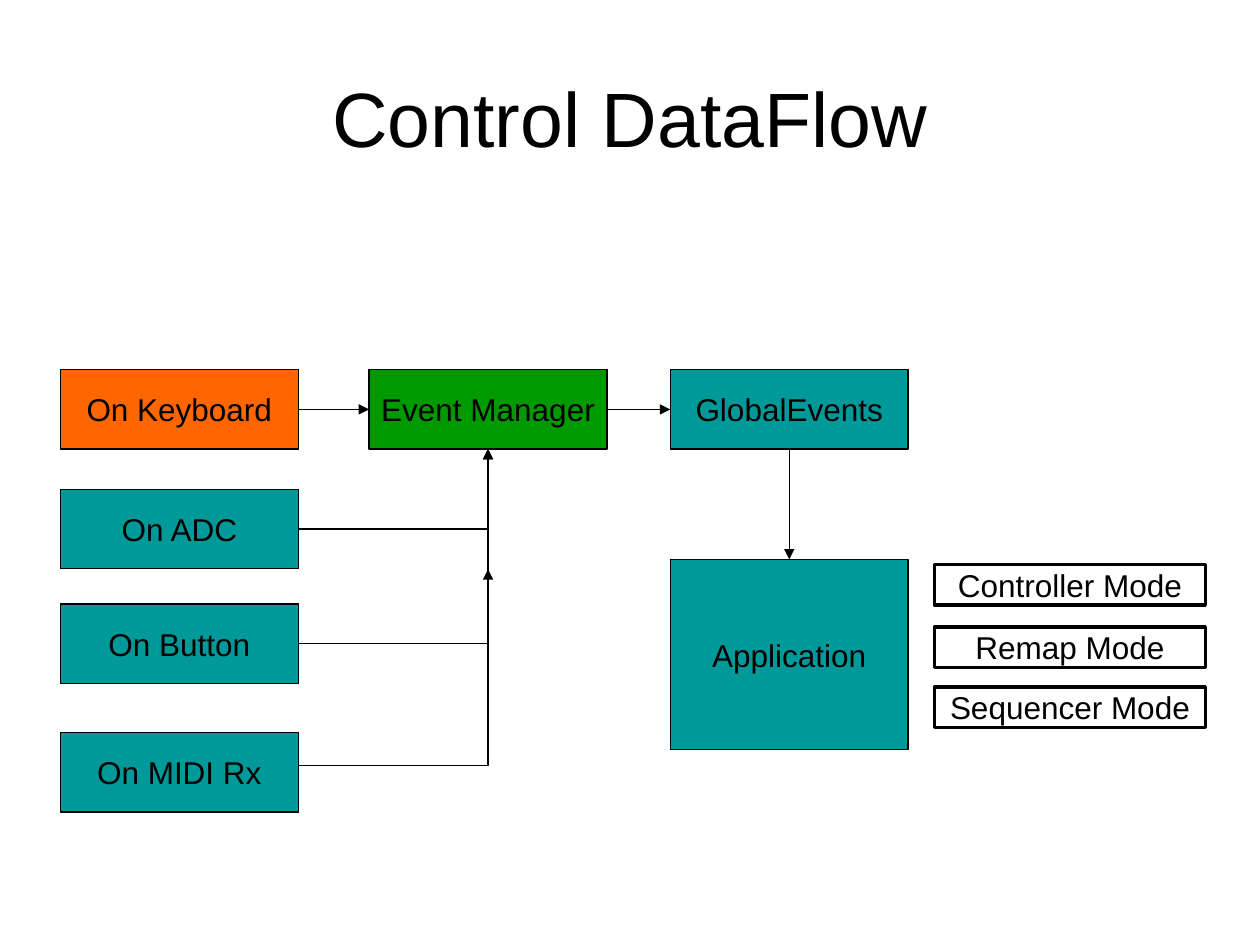
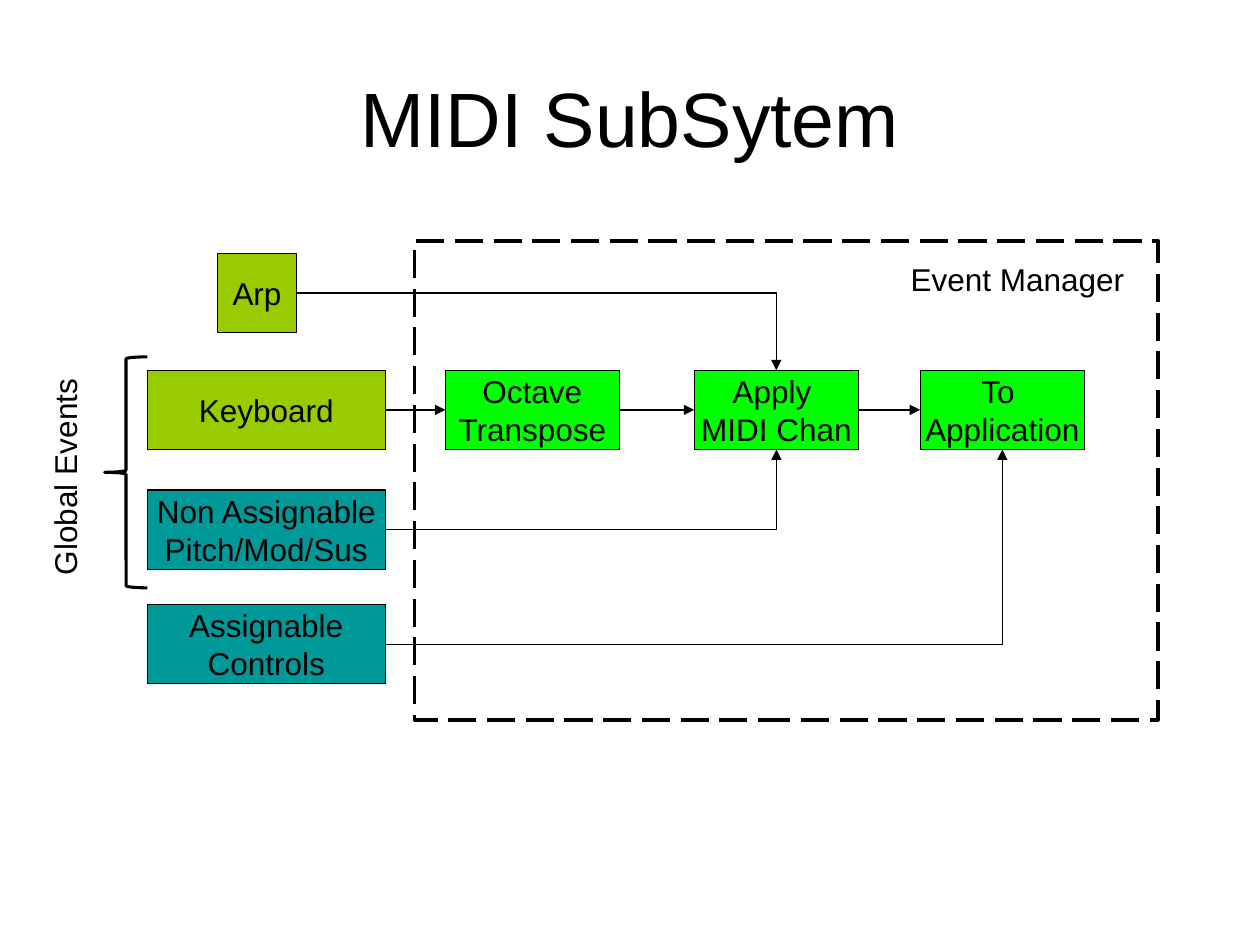
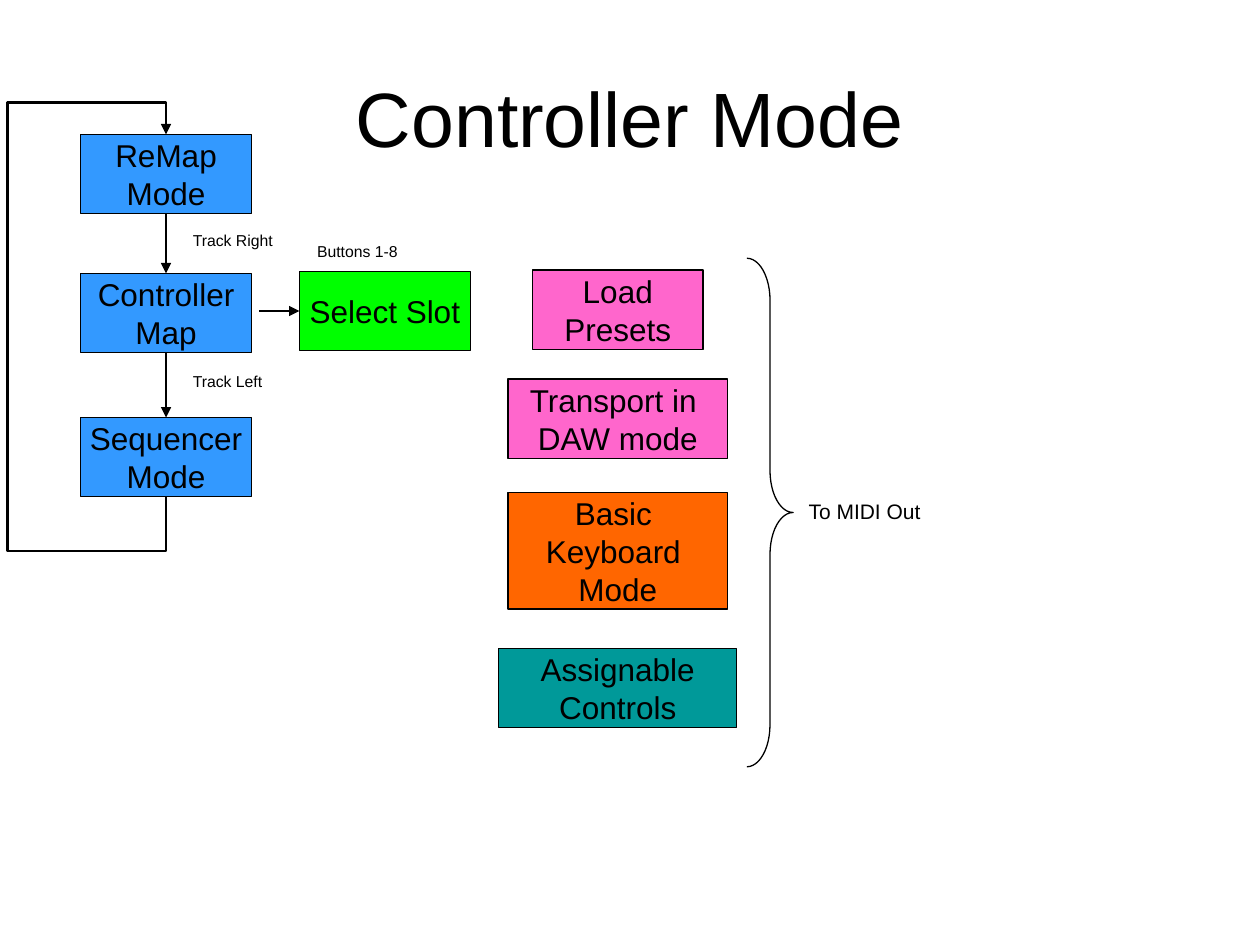
from lxml.etree import SubElement
from pptx import Presentation
from pptx.dml.color import RGBColor
from pptx.enum.dml import MSO_LINE
from pptx.enum.shapes import MSO_CONNECTOR, MSO_SHAPE
from pptx.enum.text import MSO_ANCHOR, PP_ALIGN
from pptx.oxml.ns import qn
from pptx.util import Pt

FONT = "Arial"
BLACK = "000000"
WHITE = "FFFFFF"
TEAL = "009999"
ORANGE = "FF6600"
GREEN = "009900"
LIME = "00FF00"
OLIVE = "99CC00"
BLUE = "3399FF"
PINK = "FF66CC"

TITLE_ONLY = 5
THIN = 0.75
BOX_WIDTH, BOX_HEIGHT = 136, 45.3
ROW_TOPS = (0, 68.4, 133.9, 207.4)

# Side name: connection site, share of the width, share of the height
SIDES = {
    "top": (0, 0.5, 0),
    "left": (1, 0, 0.5),
    "bottom": (2, 0.5, 1),
    "right": (3, 1, 0.5),
}


def color(hex_code):
    return RGBColor.from_string(hex_code)


def format_text(text_frame, size, align):
    for para in text_frame.paragraphs:
        para.alignment = align
        for span in para.runs:
            span.font.name = FONT
            span.font.size = Pt(size)
            span.font.color.rgb = color(BLACK)


def add_page(deck, title):
    page = deck.slides.add_slide(deck.slide_layouts[TITLE_ONLY])
    heading = page.shapes.title
    heading.left, heading.top = Pt(36), Pt(21.6)
    heading.width, heading.height = Pt(648), Pt(90)
    heading.text_frame.text = title
    heading.text_frame.vertical_anchor = MSO_ANCHOR.MIDDLE
    format_text(heading.text_frame, 44, PP_ALIGN.CENTER)
    return page


def outline(shape, width):
    shape.shadow.inherit = False
    shape.line.color.rgb = color(BLACK)
    shape.line.width = Pt(width)


def add_outline(page, preset, left, top, width, height, line_width):
    """Add an unfilled preset shape."""
    shape = page.shapes.add_shape(preset, Pt(left), Pt(top), Pt(width), Pt(height))
    shape.fill.background()
    outline(shape, line_width)
    return shape


def add_box(page, text, fill, left, top, width=BOX_WIDTH, height=BOX_HEIGHT,
            line_width=THIN):
    box = add_outline(page, MSO_SHAPE.RECTANGLE, left, top, width, height, line_width)
    box.fill.solid()
    box.fill.fore_color.rgb = color(fill)
    box.text_frame.text = text
    box.text_frame.word_wrap = False
    box.text_frame.vertical_anchor = MSO_ANCHOR.MIDDLE
    format_text(box.text_frame, 18, PP_ALIGN.CENTER)
    return box


def add_label(page, text, left, top, width, height, size=18):
    label = page.shapes.add_textbox(Pt(left), Pt(top), Pt(width), Pt(height))
    label.text_frame.word_wrap = True
    label.text_frame.text = text
    label.text_frame.paragraphs[0].space_before = Pt(size * 0.625)
    format_text(label.text_frame, size, PP_ALIGN.LEFT)
    return label


def add_brace(page, preset, left, top, width, height, curve, line_width):
    brace = add_outline(page, preset, left, top, width, height, line_width)
    brace.adjustments[0] = curve


def add_arrowhead(shape):
    line = shape.element.spPr.find(qn("a:ln"))
    SubElement(line, qn("a:tailEnd"), type="triangle")


def side_point(box, side):
    _, across, down = SIDES[side]
    return (box.left.pt + across * box.width.pt, box.top.pt + down * box.height.pt)


def add_arrow(page, start, end):
    """Draw a straight arrow, or one that runs across and then turns once."""
    turns = all(abs(a - b) > 1 for a, b in zip(start, end))
    kind = MSO_CONNECTOR.ELBOW if turns else MSO_CONNECTOR.STRAIGHT
    arrow = page.shapes.add_connector(kind, *(Pt(value) for value in start + end))
    arrow.line.color.rgb = color(BLACK)
    arrow.line.width = Pt(THIN)
    add_arrowhead(arrow)
    properties = arrow.element.spPr
    if turns:
        properties.find(qn("a:prstGeom")).set("prst", "bentConnector2")
    SubElement(properties, qn("a:effectLst"))
    return arrow


def link(page, source, source_side, target, target_side):
    """Draw an arrow that stays attached to both boxes."""
    arrow = add_arrow(page, side_point(source, source_side),
                      side_point(target, target_side))
    arrow.begin_connect(source, SIDES[source_side][0])
    arrow.end_connect(target, SIDES[target_side][0])


def add_rows(page, rows, left, top):
    """Stack full-width boxes on the shared row positions."""
    return [add_box(page, text, fill, left, top + offset)
            for (text, fill), offset in zip(rows, ROW_TOPS)]


def event_sources(page, left, top, manager):
    rows = (("On Keyboard", ORANGE), ("On ADC", TEAL),
            ("On Button", TEAL), ("On MIDI Rx", TEAL))
    keyboard, adc, button, midi = add_rows(page, rows, left, top)
    link(page, keyboard, "right", manager, "left")
    for source in (adc, button):
        link(page, source, "right", manager, "bottom")
    add_arrow(page, (left + BOX_WIDTH, midi.top.pt + 18.7),
              (side_point(manager, "bottom")[0], top + 114))


def application_modes(page, left, top):
    modes = ("Controller Mode", "Remap Mode", "Sequencer Mode")
    for mode, offset in zip(modes, (0, 35.8, 70)):
        add_box(page, mode, WHITE, left, top + offset, 154.8, 23.2, 2)


def control_dataflow(deck):
    page = add_page(deck, "Control DataFlow")
    top = 211.3
    manager = add_box(page, "Event Manager", GREEN, 210.9, top)
    events = add_box(page, "GlobalEvents", TEAL, 383, top)
    application = add_box(page, "Application", TEAL, 383, 319.7, height=108.7)
    event_sources(page, 34.5, top, manager)
    link(page, manager, "right", events, "left")
    link(page, events, "bottom", application, "top")
    application_modes(page, 534, 322.5)


def midi_sources(page, left, top):
    rows = (("Keyboard", OLIVE), ("Non Assignable\vPitch/Mod/Sus", TEAL),
            ("Assignable\vControls", TEAL))
    arp = add_box(page, "Arp", OLIVE, left + 40.3, top - 66.8, 44.8)
    add_brace(page, MSO_SHAPE.LEFT_BRACE, left - 24.4, top - 7.7, 24.4, 132, 0.05, 1.75)
    label = add_label(page, "Global Events", left - 113.5, top + 43.4, 132.5, 28.8)
    label.rotation = 270
    return [arp] + add_rows(page, rows, left, top)


def event_manager(page, left, top, step_top):
    frame = add_outline(page, MSO_SHAPE.RECTANGLE, left, top, 424.8, 273.8, 2)
    frame.line.dash_style = MSO_LINE.LONG_DASH
    add_label(page, "Event Manager", left + 276.4, top + 7.2, 170, 28.8)
    steps = (("Octave\vTranspose", 17.6, 99.4), ("Apply \vMIDI Chan", 159.8, 93.9),
             ("To \nApplication", 288.9, 93.9))
    boxes = [add_box(page, text, LIME, left + offset, step_top, width)
             for text, offset, width in steps]
    for source, target in zip(boxes, boxes[1:]):
        link(page, source, "right", target, "left")
    return boxes


def midi_subsystem(deck):
    page = add_page(deck, "MIDI SubSytem")
    top = 211.6
    octave, channel, output = event_manager(page, 236.9, 137.6, top)
    arp, keyboard, fixed, assignable = midi_sources(page, 84.2, top)
    link(page, arp, "right", channel, "top")
    link(page, keyboard, "right", octave, "left")
    link(page, fixed, "right", channel, "bottom")
    link(page, assignable, "right", output, "bottom")


def return_loop(page, last, first, reach):
    """Lead from the last box round the left side back to the first."""
    start, end = side_point(last, "bottom"), side_point(first, "top")
    low, high = start[1] + 31, end[1] - 18.2
    points = [(start[0], low), (reach, low), (reach, high), (end[0], high), end]
    builder = page.shapes.build_freeform(Pt(start[0]), Pt(start[1]))
    builder.add_line_segments([(Pt(x), Pt(y)) for x, y in points], close=False)
    loop = builder.convert_to_shape()
    loop.fill.background()
    outline(loop, 1.5)
    add_arrowhead(loop)


def mode_cycle(page, left, top):
    width = 97.6
    modes = (("ReMap\nMode", 0), ("Controller\nMap", 79.4), ("Sequencer\nMode", 161.8))
    boxes = [add_box(page, text, BLUE, left, top + offset, width)
             for text, offset in modes]
    for source, target in zip(boxes, boxes[1:]):
        link(page, source, "bottom", target, "top")
    return_loop(page, boxes[-1], boxes[0], 4.2)
    slot = add_box(page, "Select Slot", LIME, left + 125, top + 78.3, width)
    slot_entry = side_point(slot, "left")
    add_arrow(page, (slot_entry[0] - 23, slot_entry[1]), slot_entry)
    for text, across, down, label_width in (("Track Right", 57, 51.3, 134.6),
                                            ("Track Left", 57, 132, 134.6),
                                            ("Buttons 1-8", 128, 57.6, 62.6)):
        add_label(page, text, left + across, top + down, label_width, 18, 9)


def midi_outputs(page, center, top):
    """Center the output boxes on one axis and gather them with a brace."""
    outputs = (("Load\nPresets", PINK, 6.7, 97.6, BOX_HEIGHT),
               ("Transport in \nDAW mode", PINK, 69, 125.6, BOX_HEIGHT),
               ("Basic \nKeyboard \nMode", ORANGE, 133.9, 125.6, 66.6),
               ("Assignable\vControls", TEAL, 223, BOX_WIDTH, BOX_HEIGHT))
    for text, fill, offset, width, height in outputs:
        add_box(page, text, fill, center - width / 2, top + offset, width, height)
    add_brace(page, MSO_SHAPE.RIGHT_BRACE, center + 73.8, top, 26.4, 290.6, 0.91, THIN)
    add_label(page, "To MIDI Out", center + 102, top + 134, 82.8, 21.6, 12)


def controller_mode(deck):
    page = add_page(deck, "Controller Mode")
    mode_cycle(page, 46.1, 76.8)
    midi_outputs(page, 353, 147.6)


def main():
    deck = Presentation()
    deck.slide_width, deck.slide_height = Pt(720), Pt(540)
    control_dataflow(deck)
    midi_subsystem(deck)
    controller_mode(deck)
    deck.save("out.pptx")


if __name__ == "__main__":
    main()
